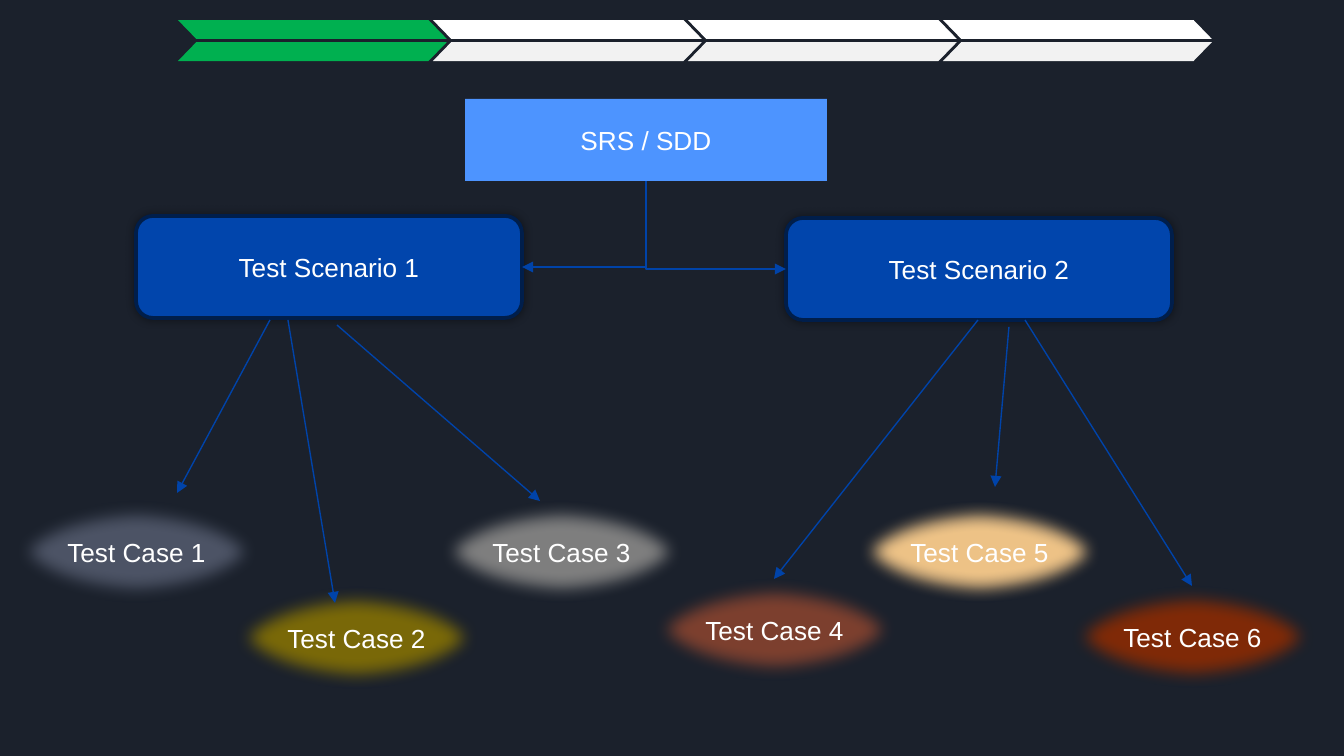
from lxml import etree
from pptx import Presentation
from pptx.dml.color import RGBColor
from pptx.enum.shapes import MSO_CONNECTOR, MSO_SHAPE
from pptx.enum.text import MSO_ANCHOR, PP_ALIGN
from pptx.oxml.ns import qn
from pptx.util import Pt

PX = 914400 / 134.4
STRAIGHT, ELBOW = MSO_CONNECTOR.STRAIGHT, MSO_CONNECTOR.ELBOW
RECT, ROUNDED = MSO_SHAPE.RECTANGLE, MSO_SHAPE.ROUNDED_RECTANGLE
OVAL, SLANT = MSO_SHAPE.OVAL, MSO_SHAPE.PARALLELOGRAM
CENTER, MIDDLE = PP_ALIGN.CENTER, MSO_ANCHOR.MIDDLE
BOTTOM, LEFT, RIGHT = 0 + 2, 1, 3

NAVY, EDGE, ARROW = "0145AC", "001E4B", "0043A9"
SCENARIO_W, SCENARIO_H = 386, 102
CASE_W, CASE_H = 257, 102

# Case: label, fill, offset of the ellipse, arrow start, arrow end
# (all relative to the top left corner of its scenario box).
SCENARIOS = [
    ((136, 216), "Test Scenario 1", [
        ("Test Case 1", "4E5567", (-128, 285), (134, 104), (41, 277)),
        ("Test Case 2", "7B6A09", (92, 371), (152, 104), (199, 387)),
        ("Test Case 3", "808080", (297, 285), (201, 109), (404, 285)),
    ]),
    ((786, 218), "Test Scenario 2", [
        ("Test Case 4", "7E4130", (-140, 361), (192, 102), (-12, 361)),
        ("Test Case 5", "EFC488", (65, 283), (223, 109), (209, 269)),
        ("Test Case 6", "812B08", (278, 368), (239, 102), (406, 368)),
    ]),
]


def emu(px):
    return round(px * PX)


def color(value):
    return RGBColor.from_string(value)


def add_box(slide, kind, x, y, w, h, fill, line=None, text=""):
    sp = slide.shapes.add_shape(kind, emu(x), emu(y), emu(w), emu(h))
    sp.shadow.inherit = False
    sp.fill.solid()
    sp.fill.fore_color.rgb = color(fill)
    if line:
        sp.line.color.rgb = color(line)
        sp.line.width = Pt(2)
    else:
        sp.line.fill.background()
    if text:
        tf = sp.text_frame
        tf.text = text
        tf.vertical_anchor = MIDDLE
        p = tf.paragraphs[0]
        p.alignment = CENTER
        font = p.runs[0].font
        font.name, font.size = "Arial", Pt(14)
        font.color.rgb = color("FFFFFF")
    return sp


def add_effect(sp, tag, **attributes):
    effects = sp._element.spPr.find(qn("a:effectLst"))
    return etree.SubElement(effects, qn(tag), attributes)


def add_arrow(slide, kind, start, end):
    cxn = slide.shapes.add_connector(kind, *map(emu, start + end))
    cxn.line.color.rgb = color(ARROW)
    cxn.line.width = Pt(0.75)
    ln = cxn.line._get_or_add_ln()
    etree.SubElement(ln, qn("a:tailEnd"), type="triangle")
    etree.SubElement(cxn._element.spPr, qn("a:effectLst"))
    return cxn


def add_elbow(slide, source, target, side):
    """Run down from the source, then sideways into the target."""
    x1, y1 = source.left + source.width // 2, source.top + source.height
    x2 = target.left + (target.width if side == RIGHT else 0)
    y2 = target.top + target.height // 2
    cxn = add_arrow(slide, ELBOW, (0, 0), (1, 1))
    cxn.begin_connect(source, BOTTOM)
    cxn.end_connect(target, side)

    # A quarter turn swaps the width and height of the unrotated frame.
    w, h = y2 - y1, abs(x2 - x1)
    xfrm = cxn._element.spPr.find(qn("a:xfrm"))
    for flip in ("flipH", "flipV"):
        xfrm.attrib.pop(flip, None)
    cxn.left, cxn.top = (x1 + x2 - w) // 2, (y1 + y2 - h) // 2
    cxn.width, cxn.height = w, h
    xfrm.set("rot", str((90 if x2 < x1 else 270) * 60000))
    if x2 > x1:
        xfrm.set("flipH", "1")
    cxn._element.spPr.find(qn("a:prstGeom")).set("prst", "bentConnector2")


def add_progress(slide, x, y):
    """Four chevrons, each made of two mirrored parallelograms."""
    w, h, pitch, row = 269, 19, 255, 22
    for i in range(4):
        fills = ("00B050", "00B050") if i == 0 else ("FFFFFF", "F2F2F2")
        for j, fill in enumerate(fills):
            sp = add_box(slide, SLANT, x + i * pitch, y + j * row, w, h, fill)
            sp.adjustments[0] = 0.97
            if j == 0:
                sp._element.spPr.find(qn("a:xfrm")).set("flipH", "1")


def add_scenario(slide, x, y, name, cases):
    """A scenario box with its test cases; returns the box."""
    box = add_box(slide, ROUNDED, x, y, SCENARIO_W, SCENARIO_H, NAVY, EDGE, name)
    shadow = add_effect(box, "a:outerShdw", blurRad="63500", dist="0",
                        algn="ctr", rotWithShape="0")
    black = etree.SubElement(shadow, qn("a:srgbClr"), val="000000")
    etree.SubElement(black, qn("a:alpha"), val="40000")
    for label, fill, (dx, dy), (ax, ay), (bx, by) in cases:
        case = add_box(slide, OVAL, x + dx, y + dy, CASE_W, CASE_H, fill, EDGE, label)
        add_effect(case, "a:softEdge", rad="112500")
        add_arrow(slide, STRAIGHT, (x + ax, y + ay), (x + bx, y + by))
    return box


def main():
    prs = Presentation()
    prs.slide_width, prs.slide_height = emu(1344), emu(756)
    slide = prs.slides.add_slide(prs.slide_layouts[6])
    slide.background.fill.solid()
    slide.background.fill.fore_color.rgb = color("1B212C")

    add_progress(slide, 178, 20)
    source = add_box(slide, RECT, 465, 99, 362, 82, "4D94FF", text="SRS / SDD")
    for ((x, y), name, cases), side in zip(SCENARIOS, (RIGHT, LEFT)):
        box = add_scenario(slide, x, y, name, cases)
        add_elbow(slide, source, box, side)
    prs.save("out.pptx")


if __name__ == "__main__":
    main()
